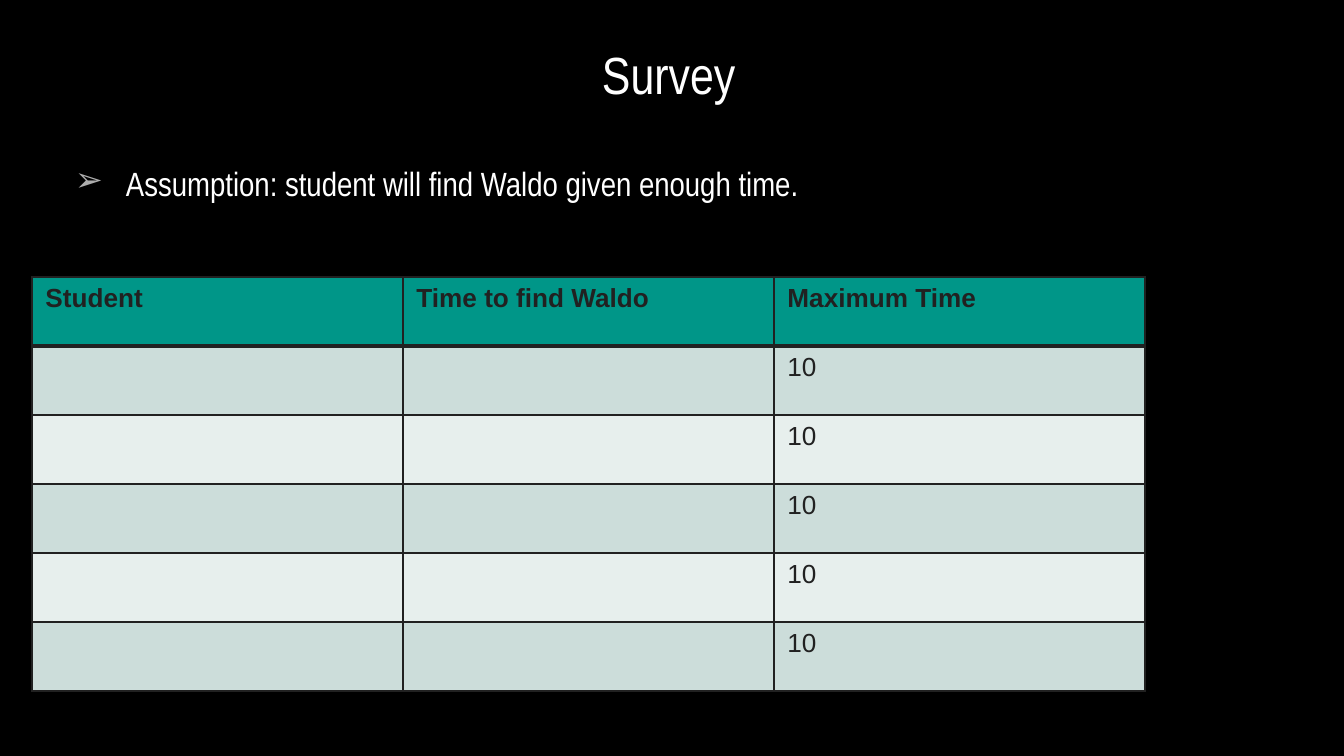
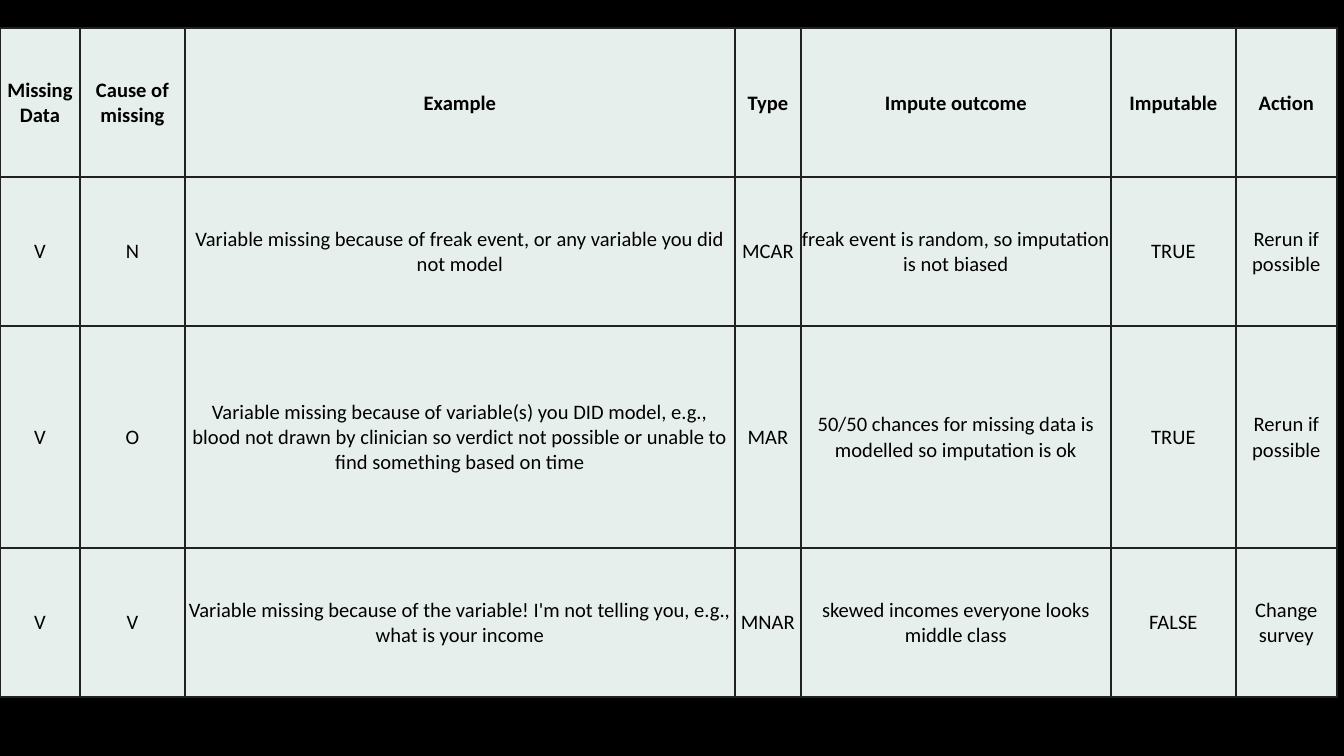
from lxml import etree
from pptx import Presentation
from pptx.dml.color import RGBColor
from pptx.enum.text import MSO_ANCHOR, MSO_AUTO_SIZE, PP_ALIGN
from pptx.oxml.ns import qn
from pptx.util import Pt

LEFT, CENTER = PP_ALIGN.LEFT, PP_ALIGN.CENTER
TOP, MIDDLE = MSO_ANCHOR.TOP, MSO_ANCHOR.MIDDLE
NO_FIT = MSO_AUTO_SIZE.NONE
TITLE_ONLY, BLANK = 5, 6

BLACK, WHITE, INK, GREY = "000000", "FFFFFF", "212121", "ADADAD"
TEAL, MINT, PALE = "009688", "CCDDDA", "E7EFED"
HEAD_FONT, GRID_FONT, CELL_FONT = "Arial Narrow", "Arial", "Calibri"
PAD = (13, 13, 13, 13)


def px(n):
    return round(n * 914400 / 134.4)


def color(code):
    return RGBColor.from_string(code)


def sub(parent, tag, **attrs):
    return etree.SubElement(parent, qn(tag), {k: str(v) for k, v in attrs.items()})


def write(para, text, font=HEAD_FONT, size=18, ink=WHITE, bold=False, align=LEFT):
    para.alignment = align
    run = para.add_run()
    run.text = text
    run.font.name, run.font.size, run.font.bold = font, Pt(size), bold
    run.font.color.rgb = color(ink)


def edge(cell, side, width):
    """Draw one border of a cell; side is L, R, T or B."""
    line = sub(cell._tc.get_or_add_tcPr(), f"a:ln{side}", w=Pt(width))
    sub(sub(line, "a:solidFill"), "a:srgbClr", val=INK)


class Deck:
    def __init__(self):
        self.prs = Presentation()
        self.prs.slide_width, self.prs.slide_height = px(1344), px(756)
        back = self.prs.slide_master.background.fill
        back.solid()
        back.fore_color.rgb = color(BLACK)
        self.slide = None

    def page(self, layout):
        self.slide = self.prs.slides.add_slide(self.prs.slide_layouts[layout])

    def frame(self, shape, wrap):
        """Set up the text frame of a shape and return its first paragraph."""
        box = shape.text_frame
        box.auto_size, box.word_wrap, box.vertical_anchor = NO_FIT, wrap, TOP
        box.margin_left, box.margin_top, box.margin_right, box.margin_bottom = map(px, PAD)
        return box.paragraphs[0]

    def title(self, text, x, y, w, h):
        shape = self.slide.shapes.title
        shape.left, shape.top, shape.width, shape.height = map(px, (x, y, w, h))
        para = self.frame(shape, False)
        para.line_spacing = 1.15
        write(para, text, size=28)

    def bullet(self, text, x, y, w, h):
        para = self.frame(self.slide.shapes.add_textbox(*map(px, (x, y, w, h))), True)
        props = para._p.get_or_add_pPr()
        props.set("marL", str(px(67)))
        props.set("indent", str(px(-51)))
        sub(sub(props, "a:buClr"), "a:srgbClr", val=GREY)
        sub(props, "a:buFont", typeface=HEAD_FONT)
        sub(props, "a:buChar", char="➢")
        para.line_spacing = 1.15
        write(para, text)

    def table(self, rows, x, y, cols, highs, fills, rule=1, pad=None, anchor=TOP, **style):
        """Draw a table; the first row is bold and has a line of width rule below it."""
        size = (x, y, sum(cols), sum(highs))
        grid = self.slide.shapes.add_table(len(rows), len(cols), *map(px, size)).table
        for col, wide in zip(grid.columns, cols):
            col.width = px(wide)
        for r, (row, high, fill) in enumerate(zip(rows, highs, fills)):
            grid.rows[r].height = px(high)
            for c, text in enumerate(row):
                cell = grid.cell(r, c)
                cell.vertical_anchor = anchor
                if pad:
                    (cell.margin_left, cell.margin_top,
                     cell.margin_right, cell.margin_bottom) = map(px, pad)
                edge(cell, "L", 1)
                edge(cell, "R", 1)
                edge(cell, "T", rule if r == 1 else 1)
                edge(cell, "B", rule if r == 0 else 1)
                cell.fill.solid()
                cell.fill.fore_color.rgb = color(fill)
                if text:
                    write(cell.text_frame.paragraphs[0], text, bold=r == 0, **style)


def survey(deck):
    deck.page(TITLE_ONLY)
    deck.title("Survey", 589, 20, 166, 85)
    deck.bullet("Assumption: student will find Waldo given enough time.", 46, 144, 1252, 78)
    rows = [("Student", "Time to find Waldo", "Maximum Time")] + [("", "", "10")] * 5
    deck.table(rows, 32, 277, [371] * 3, [69] * 6, [TEAL, MINT, PALE, MINT, PALE, MINT],
               rule=3, font=GRID_FONT, size=14, ink=INK)


def causes(deck):
    deck.page(BLANK)
    rows = [
        ("Missing Data", "Cause of missing", "Example", "Type",
         "Impute outcome", "Imputable", "Action"),
        ("V", "N",
         "Variable missing because of freak event, or any variable you did not model",
         "MCAR", "freak event is random, so imputation is not biased",
         "TRUE", "Rerun if possible"),
        ("V", "O",
         "Variable missing because of variable(s) you DID model, e.g., blood not drawn by "
         "clinician so verdict not possible or unable to find something based on time",
         "MAR", "50/50 chances for missing data is modelled so imputation is ok",
         "TRUE", "Rerun if possible"),
        ("V", "V",
         "Variable missing because of the variable! I'm not telling you, e.g., "
         "what is your income",
         "MNAR", "skewed incomes everyone looks middle class",
         "FALSE", "Change survey"),
    ]
    deck.table(rows, 0, 28, [80, 105, 550, 66, 310, 125, 101], [149, 149, 222, 149],
               [PALE] * 4, pad=(1, 1, 1, 0), anchor=MIDDLE,
               font=CELL_FONT, size=11, ink=BLACK, align=CENTER)


def main():
    deck = Deck()
    survey(deck)
    causes(deck)
    deck.prs.save("out.pptx")


if __name__ == "__main__":
    main()
